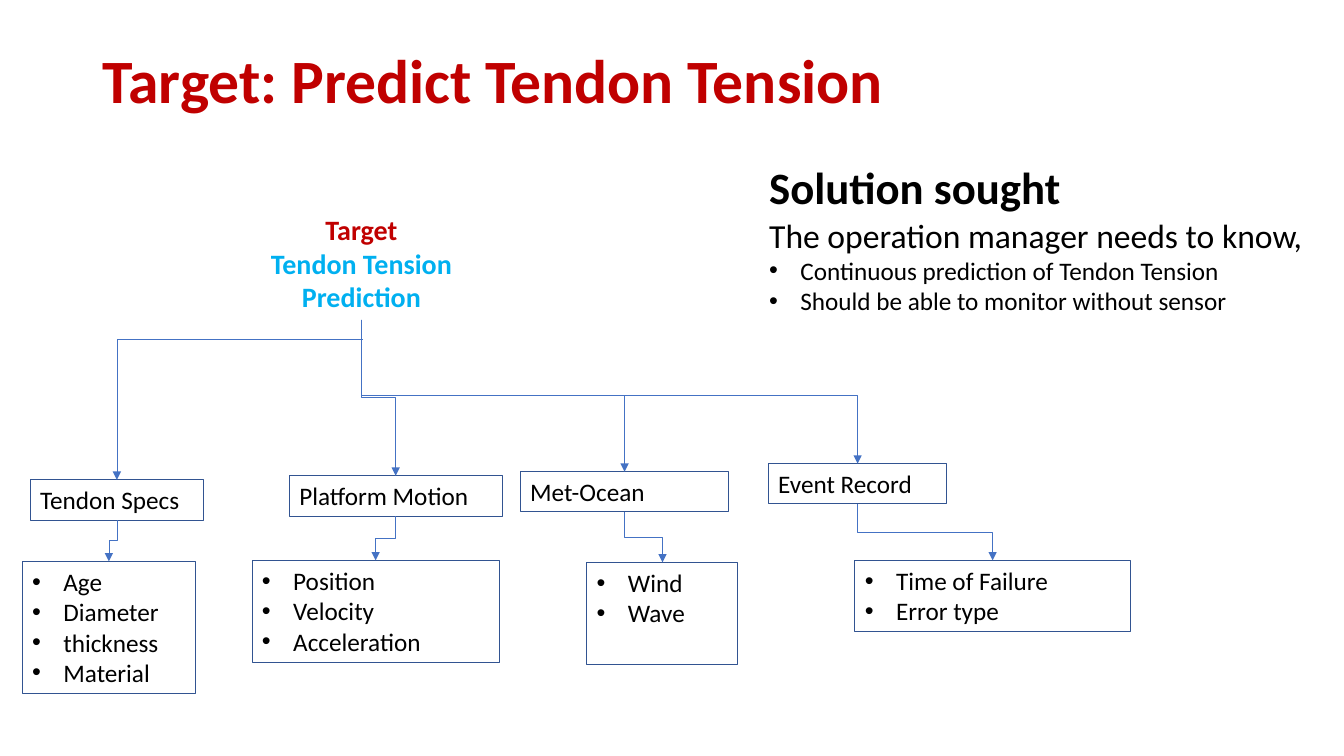
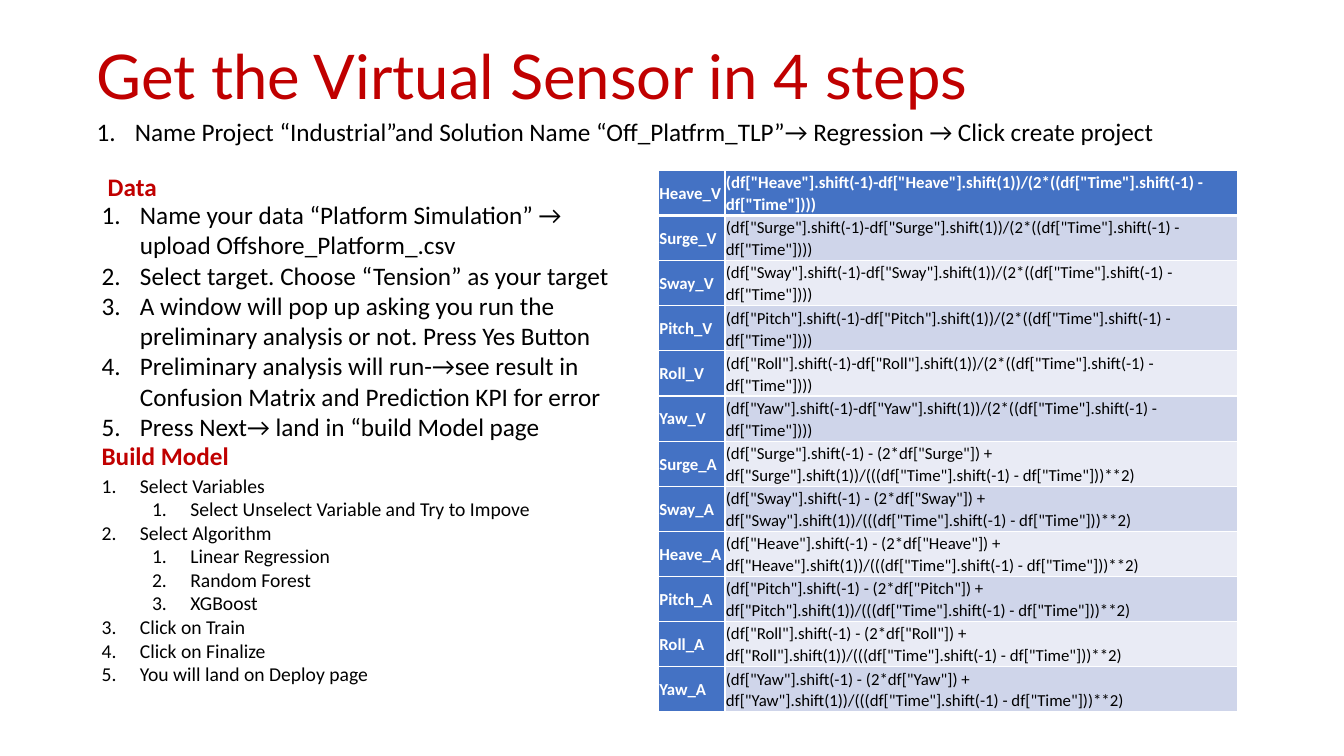
from pptx import Presentation
from pptx.dml.color import RGBColor
from pptx.enum.shapes import MSO_CONNECTOR as CONN, MSO_SHAPE as SHAPE
from pptx.enum.text import MSO_ANCHOR as ANCHOR, PP_ALIGN as ALIGN
from pptx.oxml.ns import qn
from pptx.oxml.xmlchemy import OxmlElement
from pptx.util import Pt

THEME = {
    "font": "Calibri",
    "red": "C00000", "black": "000000", "white": "FFFFFF", "sky": "00B0F0",
    "blue": "4472C4", "edge": "325491", "band": ("CFD5EA", "E9EBF5"),
    "styles": {
        "title": (44, "red", True),
        "plain_title": (44, "red", False, "Lato"),
        "heading": (32, "black", True),
        "lead": (24, "black", False),
        "body": (18, "black", False),
        "small": (14, "black", False),
        "section": (18, "red", True),
        "target": (20, "red", True),
        "goal": (20, "sky", True),
        "key": (12, "white", True),
        "formula": (12, "black", False),
    },
}
SLIDE = (1333, 750)
DOT, NUM = "•", "1."
INDENT = {DOT: 31, NUM: 38}
LEVEL_STEP = 50

TREE_TITLE = ("Target: Predict Tendon Tension", "title", (92, 40, 1150, 85))
STEPS_TITLE = ("Get the Virtual Sensor in 4 steps", "plain_title", (86, 22, 1150, 114))

TREE_TEXTS = [
    ((753, 154, 368, 64), [("Solution sought", "heading")]),
    ((753, 208, 559, 111), [
        ("The operation manager needs to know,", "lead"),
        ("Continuous prediction of Tendon Tension", "body", DOT),
        ("Should be able to monitor without sensor", "body", DOT),
    ]),
]
ROOT = ((240, 206, 237, 111), [("Target", "target"), ("Tendon Tension Prediction", "goal")])
SPECS_ELBOW = (360, 337)
BRANCHES = [
    ("Tendon Specs", (30, 476, 172, 40), None,
     ["Age", "Diameter", "thickness", "Material"], (22, 557, 172, 131)),
    ("Platform Motion", (287, 472, 211, 40), 394,
     ["Position", "Velocity", "Acceleration"], (250, 556, 245, 101)),
    ("Met-Ocean", (516, 468, 207, 40), 392,
     ["Wind", "Wave"], (582, 558, 150, 101)),
    ("Event Record", (762, 460, 177, 40), 392,
     ["Time of Failure", "Error type"], (848, 556, 273, 71)),
]

STEP_TEXTS = [
    ((86, 110, 1098, 40), [
        ("Name Project “Industrial”and Solution Name “Off_Platfrm_TLP”→ Regression → Click create project",
         "body", NUM),
    ]),
    ((97, 165, 148, 40), [("Data", "section")]),
    ((91, 193, 532, 252), [(text, "body", NUM) for text in (
        "Name your data “Platform Simulation” → upload Offshore_Platform_.csv",
        "Select target. Choose “Tension” as your target",
        "A window will pop up asking you run the preliminary analysis or not. Press Yes Button",
        "Preliminary analysis will run-→see result in Confusion Matrix and Prediction KPI for error",
        "Press Next→ land in “build Model page",
    )]),
    ((91, 432, 148, 40), [("Build Model", "section")]),
    ((91, 465, 506, 222), [(text, "small", NUM, level) for text, level in (
        ("Select Variables", 0),
        ("Select Unselect Variable and Try to Impove", 1),
        ("Select Algorithm", 0),
        ("Linear Regression", 1),
        ("Random Forest", 1),
        ("XGBoost", 1),
        ("Click on Train", 0),
        ("Click on Finalize", 0),
        ("You will land on Deploy page", 0),
    )]),
]
VELOCITY = '(df["{0}"].shift(-1)-df["{0}"].shift(1))/(2*((df["Time"].shift(-1) - df["Time"])))'
ACCELERATION = ('(df["{0}"].shift(-1) - (2*df["{0}"]) + df["{0}"].shift(1))'
                '/(((df["Time"].shift(-1) - df["Time"]))**2)')
FORMULAS = [
    ("V", VELOCITY, ["Heave", "Surge", "Sway", "Pitch", "Roll", "Yaw"]),
    ("A", ACCELERATION, ["Surge", "Sway", "Heave", "Pitch", "Roll", "Yaw"]),
]
TABLE_AT = (653, 169)
TABLE_COLS = (66, 509)
ROW_HEIGHT = 44


def px(n):
    return round(n * 9144)


def box_emu(box):
    return [px(n) for n in box]


def color(name):
    return RGBColor.from_string(THEME.get(name, name))


def node(parent, tag, **attrs):
    el = OxmlElement(tag)
    for key, value in attrs.items():
        el.set(key, str(value))
    parent.append(el)
    return el


def add_run(p, text, style):
    size, ink, bold, *font = THEME["styles"][style]
    r = p.add_run()
    r.text = text
    r.font.size = Pt(size)
    r.font.bold = bold
    r.font.name = font[0] if font else THEME["font"]
    r.font.color.rgb = color(ink)


def mark_paragraph(p, mark, level):
    p.level = level
    pPr = p._p.get_or_add_pPr()
    pPr.set("marL", str(px(INDENT[mark] + level * LEVEL_STEP)))
    pPr.set("indent", str(-px(INDENT[mark])))
    if mark == DOT:
        node(pPr, "a:buFont", typeface="Arial")
        node(pPr, "a:buChar", char=DOT)
    else:
        node(pPr, "a:buFont", typeface="+mj-lt")
        node(pPr, "a:buAutoNum", type="arabicPeriod")


def fill_text(tf, paragraphs, align=ALIGN.LEFT, spacing=None):
    tf.word_wrap = True
    for i, (text, style, *mark) in enumerate(paragraphs):
        p = tf.paragraphs[0] if i == 0 else tf.add_paragraph()
        p.alignment = align
        if spacing:
            p.line_spacing = spacing
        if mark:
            mark_paragraph(p, mark[0], mark[1] if len(mark) > 1 else 0)
        add_run(p, text, style)


def add_text(s, box, paragraphs, **options):
    sp = s.shapes.add_textbox(*box_emu(box))
    fill_text(sp.text_frame, paragraphs, **options)
    return sp


def add_title(s, text, style, box):
    sp = add_text(s, box, [(text, style)], spacing=0.9)
    sp.text_frame.vertical_anchor = ANCHOR.MIDDLE


def add_box(s, box, paragraphs):
    sp = s.shapes.add_shape(SHAPE.RECTANGLE, *box_emu(box))
    sp.shadow.inherit = False
    sp.fill.background()
    sp.line.color.rgb = color("edge")
    sp.line.width = Pt(0.75)
    sp.text_frame.vertical_anchor = ANCHOR.TOP
    fill_text(sp.text_frame, paragraphs)


def add_elbow(s, x1, y1, x2, y2):
    cxn = s.shapes.add_connector(CONN.ELBOW, *box_emu((x1, y1, x2, y2)))
    cxn.line.color.rgb = color("blue")
    cxn.line.width = Pt(0.5)
    node(cxn.line._get_or_add_ln(), "a:tailEnd", type="triangle")
    spPr = cxn._element.spPr
    node(spPr, "a:effectLst")
    return spPr


def link_corner(s, start, end):
    spPr = add_elbow(s, *start, *end)
    spPr.find(qn("a:prstGeom")).set("prst", "bentConnector2")


def link_down(s, start, end, bend=None):
    (x1, y1), (x2, y2) = start, end
    length, shift = y2 - y1, abs(x2 - x1)
    left, top = (x1 + x2 - length) / 2, (y1 + y2 - shift) / 2
    spPr = add_elbow(s, left, top, left + length, top + shift)
    xfrm = spPr.find(qn("a:xfrm"))
    if x2 > x1:
        xfrm.set("rot", "16200000")
        xfrm.set("flipH", "1")
    else:
        xfrm.set("rot", "5400000")
    ratio = (bend - y1) / length if bend else 0.5
    avLst = spPr.find(qn("a:prstGeom")).get_or_add_avLst()
    node(avLst, "a:gd", name="adj1", fmla=f"val {round(ratio * 100000)}")


def top_mid(box):
    return box[0] + box[2] / 2, box[1]


def bottom_mid(box):
    return box[0] + box[2] / 2, box[1] + box[3]


def fill_cell(cell, text, style, fill, bottom):
    cell.margin_left = cell.margin_right = cell.margin_top = cell.margin_bottom = px(1)
    cell.vertical_anchor = ANCHOR.MIDDLE
    fill_text(cell.text_frame, [(text, style)], spacing=1.07)
    tcPr = cell._tc.get_or_add_tcPr()
    for side, width in (("L", 1), ("R", 1), ("T", 1), ("B", bottom)):
        ln = node(tcPr, f"a:ln{side}", w=Pt(width))
        node(node(ln, "a:solidFill"), "a:srgbClr", val=THEME["white"])
    cell.fill.solid()
    cell.fill.fore_color.rgb = color(fill)


def add_formula_table(s):
    rows = [(f"{axis}_{kind}", formula.format(axis))
            for kind, formula, axes in FORMULAS for axis in axes]
    size = (sum(TABLE_COLS), ROW_HEIGHT * len(rows))
    table = s.shapes.add_table(len(rows), 2, *box_emu(TABLE_AT + size)).table
    for col, width in zip(table.columns, TABLE_COLS):
        col.width = px(width)
    for i, (name, formula) in enumerate(rows):
        head = i == 0
        bottom = 3 if head else 1
        fill_cell(table.cell(i, 0), name, "key", "blue", bottom)
        fill_cell(table.cell(i, 1), formula, "key" if head else "formula",
                  "blue" if head else THEME["band"][(i - 1) % 2], bottom)


def build_tree(s):
    add_title(s, *TREE_TITLE)
    for box, paragraphs in TREE_TEXTS:
        add_text(s, box, paragraphs)
    root_box, root_text = ROOT
    add_text(s, root_box, root_text, align=ALIGN.CENTER)
    for label, box, bend, items, items_box in BRANCHES:
        add_box(s, box, [(label, "body")])
        add_box(s, items_box, [(item, "body", DOT) for item in items])
        if bend:
            link_down(s, bottom_mid(root_box), top_mid(box), bend)
        else:
            link_corner(s, SPECS_ELBOW, top_mid(box))
        link_down(s, bottom_mid(box), top_mid(items_box))


def build_steps(s):
    for box, paragraphs in STEP_TEXTS:
        add_text(s, box, paragraphs)
    add_formula_table(s)
    add_title(s, *STEPS_TITLE)


def main():
    prs = Presentation()
    prs.slide_width, prs.slide_height = box_emu(SLIDE)
    for build in (build_tree, build_steps):
        build(prs.slides.add_slide(prs.slide_layouts[6]))
    prs.save("out.pptx")


if __name__ == "__main__":
    main()
